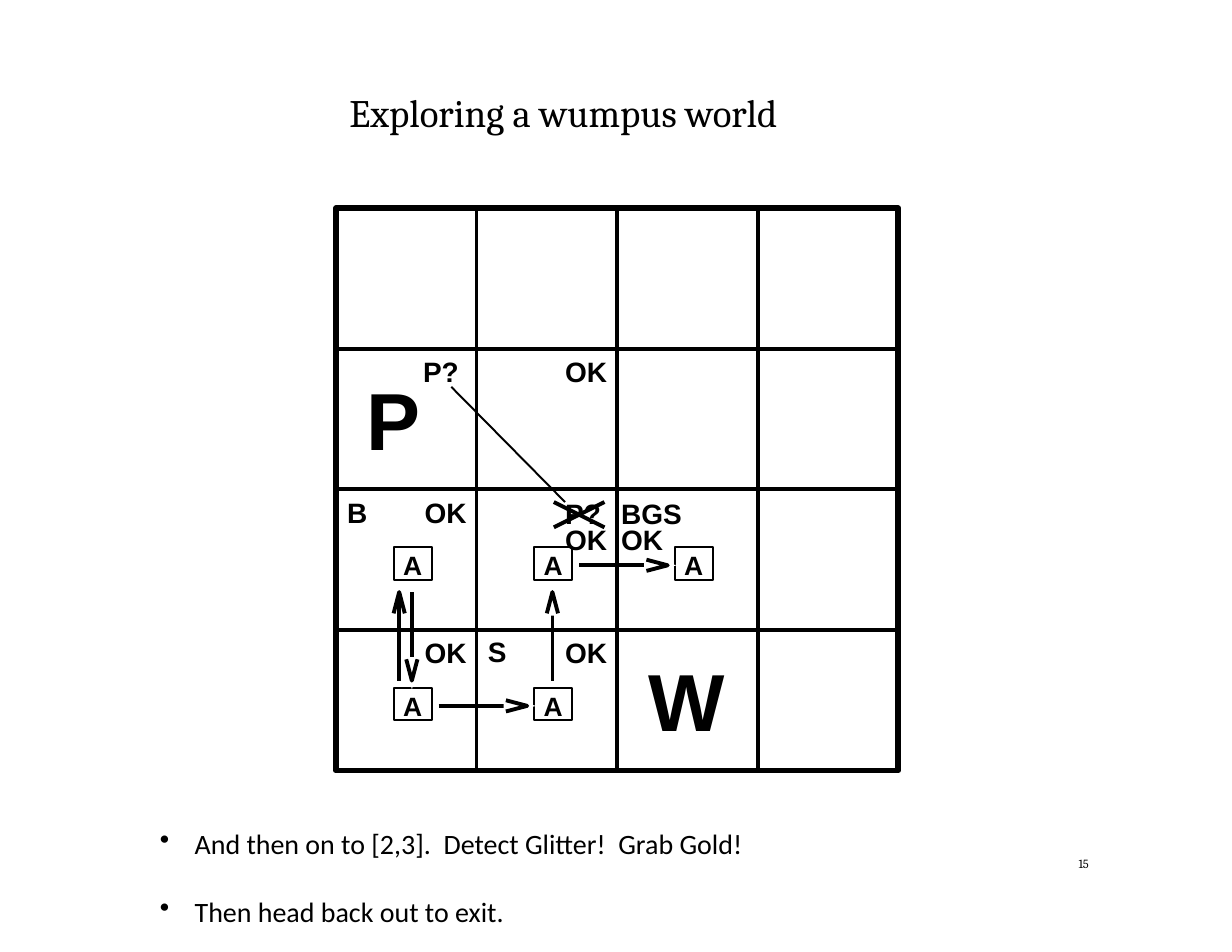
from collections import namedtuple
from itertools import product

from lxml.etree import SubElement
from pptx import Presentation
from pptx.dml.color import RGBColor
from pptx.enum.shapes import MSO_CONNECTOR, MSO_SHAPE
from pptx.enum.text import MSO_ANCHOR, PP_ALIGN
from pptx.oxml.ns import qn
from pptx.util import Inches, Pt

Box = namedtuple("Box", "left top width height")


class Theme:
    ink = RGBColor(0, 0, 0)
    paper = RGBColor(255, 255, 255)
    title_font, body_font, label_font = "Cambria", "Calibri", "Arial"
    title_size, body_size, number_size = 25, 18, 8
    label_size, agent_size, hazard_size = 18, 17, 52
    thin, medium, thick = 1.25, 2.5, 3.77


CELLS = 4
# Positions are columns and rows of the board, counted from its top left corner.
LABELS = [
    ("OK", 0.63, 2.04, 0.39), ("OK", 0.63, 3.04, 0.39),
    ("OK", 1.63, 3.04, 0.39), ("OK", 1.63, 1.04, 0.39),
    ("B", 0.08, 2.04, 0.2), ("P?", 0.62, 1.04, 0.34), ("S", 1.08, 3.03, 0.19),
]
HAZARDS = [("P", 0.22, 1.15, 0.52), ("W", 2.22, 3.15, 0.72)]
AGENTS = [(0, 2), (0, 3), (1, 3), (1, 2), (2, 2)]
# start, end, whether the head is set off by a paper-coloured gap
MOVES = [
    ((0.45, 3.36), (0.45, 2.73), False),
    ((0.54, 2.73), (0.54, 3.36), True),
    ((0.73, 3.54), (1.36, 3.54), True),
    ((1.54, 3.36), (1.54, 2.73), True),
    ((1.73, 2.54), (2.36, 2.54), True),
]


def style_paragraph(paragraph, font_name, size, bold=False):
    font = paragraph.font
    font.name, font.size, font.bold = font_name, Pt(size), bold
    font.color.rgb = Theme.ink


def add_text(slide, box, text, font_name, size, bold=False):
    shape = slide.shapes.add_textbox(*map(Inches, box))
    frame = shape.text_frame
    frame.word_wrap = True
    frame.margin_left = frame.margin_right = frame.margin_top = frame.margin_bottom = 0
    frame.text = text
    for paragraph in frame.paragraphs:
        style_paragraph(paragraph, font_name, size, bold)
    return frame


def add_rectangle(slide, box, weight):
    shape = slide.shapes.add_shape(MSO_SHAPE.RECTANGLE, *map(Inches, box))
    shape.shadow.inherit = False
    shape.fill.background()
    shape.line.color.rgb = Theme.ink
    shape.line.width = Pt(weight)
    return shape


def add_line(slide, start, end, weight):
    line = slide.shapes.add_connector(
        MSO_CONNECTOR.STRAIGHT, *map(Inches, (*start, *end)))
    line.line.color.rgb = Theme.ink
    line.line.width = Pt(weight)
    SubElement(line._element.spPr, qn("a:effectLst"))


def add_outline(slide, points, close):
    corners = [(Inches(x), Inches(y)) for x, y in points]
    builder = slide.shapes.build_freeform(*corners[0])
    builder.add_line_segments(corners[1:], close=close)
    shape = builder.convert_to_shape()
    shape.shadow.inherit = False
    return shape


def add_move(slide, start, end, gap):
    """Draw a vertical or horizontal arrow with an open head."""
    length = abs(end[0] - start[0]) + abs(end[1] - start[1])
    along_x, along_y = ((b - a) / length for a, b in zip(start, end))

    def from_end(forward, sideways):
        return (end[0] + forward * along_x - sideways * along_y,
                end[1] + forward * along_y + sideways * along_x)

    add_line(slide, start, end, Theme.medium)
    if gap:
        corners = [from_end(-0.21, -0.07), from_end(0.08, 0), from_end(-0.21, 0.07)]
        mask = add_outline(slide, corners, close=True)
        mask.fill.solid()
        mask.fill.fore_color.rgb = Theme.paper
        mask.line.fill.background()
    barbs = [from_end(-0.19, -0.05), end, from_end(-0.19, 0.05)]
    head = add_outline(slide, barbs, close=False)
    head.fill.background()
    head.line.color.rgb = Theme.ink
    head.line.width = Pt(Theme.medium)


def add_agent(slide, box):
    agent = add_rectangle(slide, box, Theme.thin)
    frame = agent.text_frame
    frame.margin_left = frame.margin_right = frame.margin_bottom = 0
    frame.margin_top = Inches(0.02)
    frame.vertical_anchor = MSO_ANCHOR.TOP
    frame.text = "A"
    frame.paragraphs[0].alignment = PP_ALIGN.CENTER
    style_paragraph(frame.paragraphs[0], Theme.label_font, Theme.agent_size, True)


def add_shared_label(slide, box):
    """Label the two neighbouring cells on both sides of a grid line."""
    frame = add_text(slide, box, "P?\tBGS\vOK\tOK", Theme.label_font, Theme.label_size, True)
    paragraph = frame.paragraphs[0]
    paragraph.line_spacing = 0.78
    tabs = SubElement(paragraph._p.get_or_add_pPr(), qn("a:tabLst"))
    SubElement(tabs, qn("a:tab"), pos=str(Inches(0.5)), algn="l")
    # The tab list precedes the default run properties.
    tabs.getparent().find(qn("a:defRPr")).addprevious(tabs)


def add_board(slide, box):
    cell = box.width / CELLS

    def at(column, row):
        return box.left + column * cell, box.top + row * cell

    for row, column in product(range(CELLS), repeat=2):
        add_rectangle(slide, Box(*at(column, row), cell, cell), Theme.medium)
    add_rectangle(slide, box, Theme.thick)

    for text, column, row, width in LABELS:
        add_text(slide, Box(*at(column, row), width, 0.3), text,
                 Theme.label_font, Theme.label_size, True)
    for text, column, row, width in HAZARDS:
        add_text(slide, Box(*at(column, row), width, 0.9), text,
                 Theme.label_font, Theme.hazard_size, True)
    add_shared_label(slide, Box(*at(1.63, 2.1), 1.65, 0.49))

    for column, row in AGENTS:
        add_agent(slide, Box(*at(column + 0.41, row + 0.41), 0.34, 0.29))
    for start, end, gap in MOVES:
        add_move(slide, at(*start), at(*end), gap)

    add_line(slide, at(0.82, 1.27), at(1.63, 2.09), Theme.thin)
    add_line(slide, at(1.55, 2.27), at(1.91, 2.09), Theme.medium)
    add_line(slide, at(1.55, 2.09), at(1.91, 2.27), Theme.medium)


def add_title(slide, box):
    frame = add_text(slide, box, "Exploring a wumpus world", Theme.title_font, Theme.title_size)
    frame.margin_left = Inches(1.84)
    frame.paragraphs[0].line_spacing = Pt(24.3)


def add_bullets(slide, box, items):
    frame = add_text(slide, box, "\n".join(items), Theme.body_font, Theme.body_size)
    frame.margin_left = frame.margin_right = Inches(0.1)
    frame.margin_top = frame.margin_bottom = Inches(0.05)
    for index, paragraph in enumerate(frame.paragraphs):
        properties = paragraph._p.get_or_add_pPr()
        properties.set("marL", str(Inches(0.31)))
        properties.set("indent", str(-Inches(0.31)))
        bullet = SubElement(properties, qn("a:buChar"), char="•")
        properties.find(qn("a:defRPr")).addprevious(bullet)
        if index:
            paragraph.space_before = Pt(22)


def add_slide_number(slide, box):
    frame = add_text(slide, box, "15", Theme.number_font if hasattr(Theme, "number_font")
                     else Theme.title_font, Theme.number_size)
    frame.margin_left = Inches(0.03)
    frame.paragraphs[0].line_spacing = Pt(8.6)


def main():
    presentation = Presentation()
    presentation.slide_width, presentation.slide_height = Inches(11), Inches(8.5)
    slide = presentation.slides.add_slide(presentation.slide_layouts[6])
    add_title(slide, Box(1.28, 0.87, 8.45, 0.36))
    add_board(slide, Box(3, 1.86, 5.02, 5.02))
    add_bullets(slide, Box(1.33, 7.33, 5.46, 0.71), [
        "And then on to [2,3].  Detect Glitter!  Grab Gold!",
        "Then head back out to exit.",
    ])
    add_slide_number(slide, Box(9.6, 7.66, 0.17, 0.12))
    presentation.save("out.pptx")


if __name__ == "__main__":
    main()
